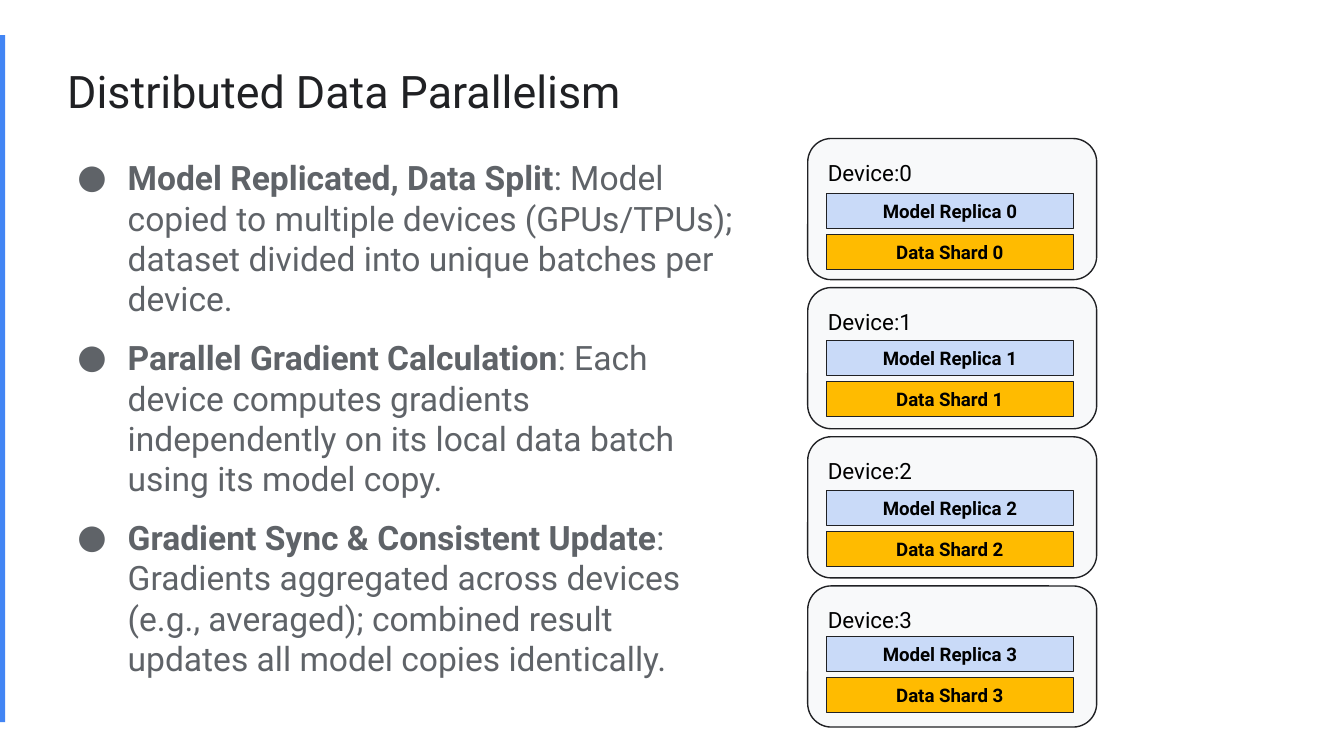
import lxml.etree
import pptx
import pptx.dml.color
import pptx.enum.shapes
import pptx.enum.text
import pptx.oxml.ns
import pptx.util
from dataclasses import dataclass

Pt = pptx.util.Pt
RGB = pptx.dml.color.RGBColor.from_string
SHAPE = pptx.enum.shapes.MSO_SHAPE
ANCHOR = pptx.enum.text.MSO_ANCHOR
ALIGN = pptx.enum.text.PP_ALIGN
qn = pptx.oxml.ns.qn


@dataclass(frozen=True)
class Theme:
    font: str = "Roboto"
    accent: str = "4285F4"
    ink: str = "202124"
    body: str = "5F6368"
    label: str = "000000"
    device: str = "F8F9FA"
    replica: str = "C9DAF8"
    shard: str = "FFBB00"
    title_size: float = 24
    body_size: float = 18
    device_size: float = 12
    part_size: float = 10


theme = Theme()


def style_text(tf, size, color, inset=(0, 0, 0, 0), anchor=ANCHOR.TOP, bold=None):
    """Set insets, anchor and wrapping of a text frame and format all its runs."""
    tf.word_wrap = True
    tf.auto_size = pptx.enum.text.MSO_AUTO_SIZE.NONE
    tf.vertical_anchor = anchor
    tf.margin_left, tf.margin_top, tf.margin_right, tf.margin_bottom = map(Pt, inset)
    for p in tf.paragraphs:
        for r in p.runs:
            r.font.name = theme.font
            r.font.size = Pt(size)
            r.font.color.rgb = RGB(color)
            if bold is not None:
                r.font.bold = bold


def add_box(kind, left, top, width, height, fill, line_width=0):
    sp = slide.shapes.add_shape(kind, Pt(left), Pt(top), Pt(width), Pt(height))
    sp.shadow.inherit = False
    sp.fill.solid()
    sp.fill.fore_color.rgb = RGB(fill)
    if line_width:
        sp.line.color.rgb = RGB(theme.ink)
        sp.line.width = Pt(line_width)
    else:
        sp.line.fill.background()
    return sp


prs = pptx.Presentation()
prs.slide_width, prs.slide_height = Pt(720), Pt(405)
slide = prs.slides.add_slide(prs.slide_layouts[1])

# Accent bar on the left edge
add_box(SHAPE.RECTANGLE, -1.5, 18.9, 4.3, 368, theme.accent)

# Title
title = slide.shapes.title
title.left, title.top, title.width, title.height = Pt(36), Pt(37.2), Pt(324), Pt(26)
title.text_frame.text = "Distributed Data Parallelism"
p = title.text_frame.paragraphs[0]
p.alignment = ALIGN.LEFT
p.line_spacing = 0.9
style_text(title.text_frame, theme.title_size, theme.ink, anchor=ANCHOR.MIDDLE)

# Bulleted list
points = [
    ("Model Replicated, Data Split",
     ": Model copied to multiple devices (GPUs/TPUs); dataset divided into "
     "unique batches per device."),
    ("Parallel Gradient Calculation",
     ": Each device computes gradients independently on its local data batch "
     "using its model copy."),
    ("Gradient Sync & Consistent Update",
     ": Gradients aggregated across devices (e.g., averaged); combined result "
     "updates all model copies identically."),
]
body = slide.placeholders[1]
body.left, body.top, body.width, body.height = Pt(32.4), Pt(84.2), Pt(364.3), Pt(282)
tf = body.text_frame
for i, (lead, detail) in enumerate(points):
    p = tf.paragraphs[0] if i == 0 else tf.add_paragraph()
    p.space_before = Pt(10 if i else 0)
    pPr = p._p.get_or_add_pPr()
    pPr.set("marL", str(Pt(36)))
    pPr.set("indent", str(Pt(-27)))
    color = lxml.etree.SubElement(pPr, qn("a:buClr"))
    lxml.etree.SubElement(color, qn("a:srgbClr"), val=theme.body)
    lxml.etree.SubElement(pPr, qn("a:buFont"), typeface=theme.font)
    lxml.etree.SubElement(pPr, qn("a:buChar"), char="●")
    for text, bold in ((lead, True), (detail, False)):
        r = p.add_run()
        r.text = text
        r.font.bold = bold
style_text(tf, theme.body_size, theme.body)

# Devices, each holding a model replica and a data shard
device_top, device_pitch = 74.2, 79.9
shard_offset = 22.1
replica_tops = [103.7, 182.3, 262.8, 340.8]
for i, replica_top in enumerate(replica_tops):
    sp = add_box(SHAPE.ROUNDED_RECTANGLE, 432.7, device_top + i * device_pitch,
                 154.8, 75.6, theme.device, 0.75)
    sp.text_frame.text = f"Device:{i}"
    sp.text_frame.paragraphs[0].alignment = ALIGN.LEFT
    style_text(sp.text_frame, theme.device_size, theme.label, inset=(7.2, 7.2, 0, 0))

    parts = [("Model Replica", replica_top, theme.replica),
             ("Data Shard", replica_top + shard_offset, theme.shard)]
    for name, top, fill in parts:
        sp = add_box(SHAPE.RECTANGLE, 442.8, top, 132, 18.7, fill, 0.38)
        sp.text_frame.text = f"{name} {i}"
        sp.text_frame.paragraphs[0].alignment = ALIGN.CENTER
        style_text(sp.text_frame, theme.part_size, theme.label,
                   inset=(3.6, 3.6, 3.6, 3.6), anchor=ANCHOR.MIDDLE, bold=True)

prs.save("out.pptx")
